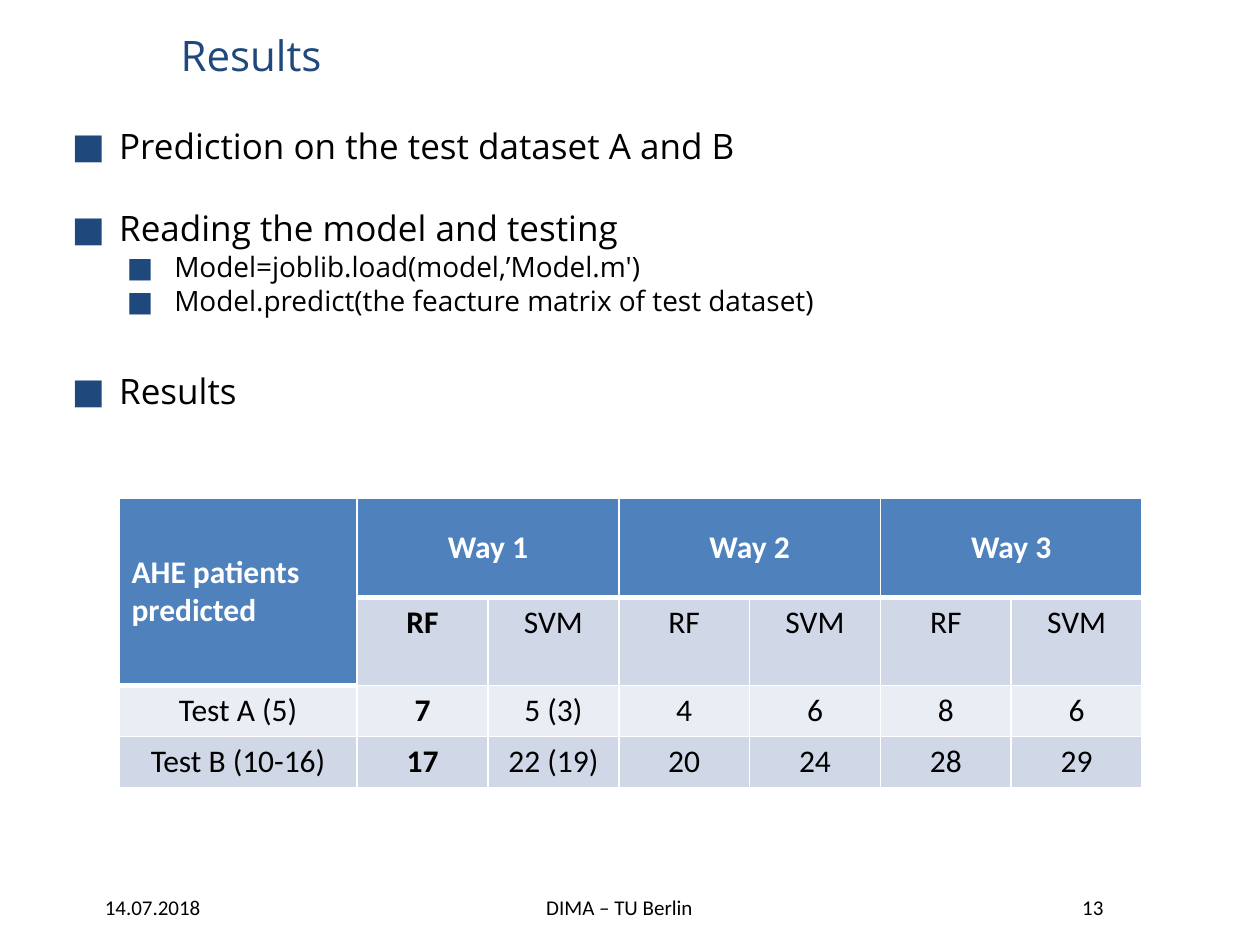
from dataclasses import dataclass

from lxml import etree
from pptx import Presentation
from pptx.dml.color import RGBColor
from pptx.enum.text import MSO_ANCHOR, MSO_AUTO_SIZE, PP_ALIGN
from pptx.oxml.ns import qn
from pptx.util import Pt

LEFT, CENTER = PP_ALIGN.LEFT, PP_ALIGN.CENTER
TOP, MIDDLE = MSO_ANCHOR.TOP, MSO_ANCHOR.MIDDLE
NO_AUTOFIT = MSO_AUTO_SIZE.NONE
TITLE_ONLY = 5

NAVY, BLUE, BLACK, WHITE = "1F497D", "4F81BD", "000000", "FFFFFF"
BANDS = ["D0D8E8", "E9EDF4"]


@dataclass
class Bullet:
    text: str
    size: float
    margin: float
    space_before: float


@dataclass
class Footer:
    text: str
    left: float
    width: float


BULLETS = [
    Bullet("Prediction on the test dataset A and B", 20, 27, 0),
    Bullet("Reading the model and testing", 20, 27, 23),
    Bullet("Model=joblib.load(model,’Model.m')", 16, 58.5, 0.5),
    Bullet("Model.predict(the feacture matrix of test dataset)", 16, 58.5, 0.5),
    Bullet("Results", 20, 27, 29.6),
]
FOOTERS = [
    Footer("14.07.2018", 34, 106.5),
    Footer("DIMA – TU Berlin", 264, 180),
    Footer("13", 562.5, 124),
]
WAYS = ["Way 1", "Way 2", "Way 3"]
ROWS = [
    ["", *["RF", "SVM"] * len(WAYS)],
    ["Test A (5)", "7", "5 (3)", "4", "6", "8", "6"],
    ["Test B (10-16)", "17", "22 (19)", "20", "24", "28", "29"],
]
COLUMN_WIDTHS = [136.1] + [74.75] * 6
ROW_HEIGHTS = [56.8] + [29.2] * 3


def color(value: str) -> RGBColor:
    return RGBColor.from_string(value)


def format_paragraph(paragraph, font_name: str, size: float, font_color: str,
                     alignment=LEFT, bold: bool = False) -> None:
    paragraph.alignment = alignment
    font = paragraph.font
    font.name, font.size, font.bold = font_name, Pt(size), bold
    font.color.rgb = color(font_color)


def add_text_frame(slide, left: float, top: float, width: float, height: float):
    box = slide.shapes.add_textbox(Pt(left), Pt(top), Pt(width), Pt(height))
    box.text_frame.word_wrap = True
    return box.text_frame


def add_title(slide, text: str) -> None:
    title = slide.shapes.title
    title.left, title.top, title.width, title.height = Pt(96), Pt(6), Pt(540), Pt(50)
    frame = title.text_frame
    frame.text = text
    frame.auto_size = NO_AUTOFIT
    frame.vertical_anchor = MIDDLE
    format_paragraph(frame.paragraphs[0], "Open Sans", 24, NAVY)


def set_bullet(paragraph, margin: float) -> None:
    properties = paragraph._p.get_or_add_pPr()
    properties.set("marL", str(Pt(margin)))
    properties.set("indent", str(-Pt(27)))
    bullet_color = etree.SubElement(properties, qn("a:buClr"))
    etree.SubElement(bullet_color, qn("a:srgbClr"), val=NAVY)
    etree.SubElement(properties, qn("a:buFont"), typeface="Open Sans")
    etree.SubElement(properties, qn("a:buChar"), char="■")


def add_bullets(slide, bullets: list[Bullet]) -> None:
    frame = add_text_frame(slide, 34, 67.5, 652, 433.5)
    for index, bullet in enumerate(bullets):
        paragraph = frame.add_paragraph() if index else frame.paragraphs[0]
        paragraph.text = bullet.text
        paragraph.space_before = Pt(bullet.space_before)
        set_bullet(paragraph, bullet.margin)
        format_paragraph(paragraph, "Open Sans", bullet.size, BLACK)


def add_footer(slide, footer: Footer) -> None:
    frame = add_text_frame(slide, footer.left, 507.8, footer.width, 21.6)
    frame.vertical_anchor = MIDDLE
    frame.text = footer.text
    format_paragraph(frame.paragraphs[0], "Calibri", 12, BLACK, CENTER)


def format_cell(cell, fill: str, bottom_width: float = 1) -> None:
    properties = cell._tc.get_or_add_tcPr()
    for side, width in (("L", 1), ("R", 1), ("T", 1), ("B", bottom_width)):
        line = etree.SubElement(properties, qn(f"a:ln{side}"), w=str(Pt(width)))
        solid = etree.SubElement(line, qn("a:solidFill"))
        etree.SubElement(solid, qn("a:srgbClr"), val=WHITE)
    cell.fill.solid()
    cell.fill.fore_color.rgb = color(fill)


def write_cell(cell, text: str, font_color: str, anchor, alignment, bold: bool) -> None:
    cell.vertical_anchor = anchor
    cell.text = text
    for paragraph in cell.text_frame.paragraphs:
        format_paragraph(paragraph, "Calibri", 18, font_color, alignment, bold)


def add_results_table(slide) -> None:
    table = slide.shapes.add_table(
        len(ROW_HEIGHTS), len(COLUMN_WIDTHS), Pt(68), Pt(284.5),
        Pt(sum(COLUMN_WIDTHS)), Pt(sum(ROW_HEIGHTS))).table
    for column, width in zip(table.columns, COLUMN_WIDTHS):
        column.width = Pt(width)
    for row, height in zip(table.rows, ROW_HEIGHTS):
        row.height = Pt(height)

    for column in range(len(COLUMN_WIDTHS)):
        format_cell(table.cell(0, column), BLUE, 3)
    for row, values in enumerate(ROWS, start=1):
        for column, value in enumerate(values):
            cell = table.cell(row, column)
            if value:
                format_cell(cell, BANDS[(row - 1) % 2])
                write_cell(cell, value, BLACK, TOP, CENTER, column == 1)
            else:
                format_cell(cell, BLUE, 3)

    corner = table.cell(0, 0)
    corner.merge(table.cell(1, 0))
    write_cell(corner, "AHE patients\npredicted", WHITE, MIDDLE, LEFT, True)
    for index, way in enumerate(WAYS):
        first = 1 + 2 * index
        header = table.cell(0, first)
        header.merge(table.cell(0, first + 1))
        write_cell(header, way, WHITE, MIDDLE, CENTER, True)


def main() -> None:
    presentation = Presentation()
    presentation.slide_width, presentation.slide_height = Pt(720), Pt(540)
    slide = presentation.slides.add_slide(presentation.slide_layouts[TITLE_ONLY])
    for footer in FOOTERS:
        add_footer(slide, footer)
    add_bullets(slide, BULLETS)
    add_title(slide, "Results")
    add_results_table(slide)
    presentation.save("out.pptx")


if __name__ == "__main__":
    main()
